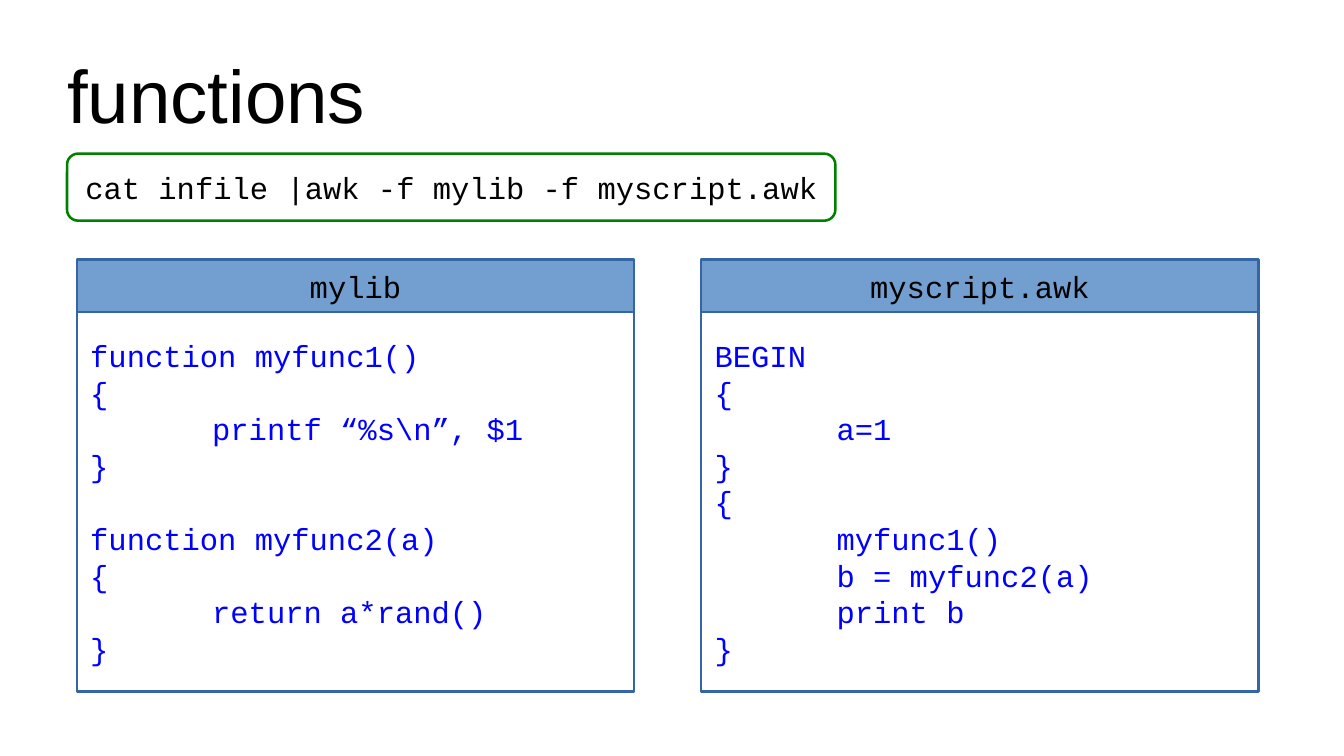
"""Build the awk functions slide: a command line above two code panels."""
from lxml.etree import SubElement
from pptx import Presentation
from pptx.dml.color import RGBColor
from pptx.enum.shapes import MSO_SHAPE as SHAPE
from pptx.enum.text import MSO_ANCHOR as ANCHOR, PP_ALIGN as ALIGN
from pptx.oxml.ns import qn
from pptx.util import Inches, Pt

PANELS = [
    ("mylib", ["function myfunc1()", "{", "\tprintf “%s\\n”, $1", "}",
               "function myfunc2(a)", "{", "\treturn a*rand()", "}"]),
    ("myscript.awk", ["BEGIN", "{", "\ta=1", "}", "{", "\tmyfunc1()",
                      "\tb = myfunc2(a)", "\tprint b", "}"]),
]
LINE_HEIGHT = Pt(21.6)


def rgb(color):
    """Turn a hex string into a colour."""
    return RGBColor.from_string(color)


def add_box(kind, left, top, width, height, lines, line, fill=None,
            color="000000", align=ALIGN.CENTER):
    """Add an outlined shape with monospaced lines of text."""
    sp = slide.shapes.add_shape(kind, Inches(left), Inches(top),
                                Inches(width), Inches(height))
    sp.shadow.inherit = False
    if fill:
        sp.fill.solid()
        sp.fill.fore_color.rgb = rgb(fill)
    else:
        sp.fill.background()
    sp.line.color.rgb = rgb(line)
    sp.line.width = Pt(1.5)
    tf = sp.text_frame
    tf.word_wrap = True
    tf.vertical_anchor = ANCHOR.MIDDLE
    tf.margin_left = tf.margin_right = Inches(0.11)
    tf.margin_top = tf.margin_bottom = Inches(0.06)
    tf.text = "\n".join(lines)
    for p in tf.paragraphs:
        p.alignment = align
        p.line_spacing = LINE_HEIGHT
        if p.text.startswith("\t"):
            tabs = SubElement(p._p.get_or_add_pPr(), qn("a:tabLst"))
            SubElement(tabs, qn("a:tab"), pos=str(Inches(1)), algn="l")
        p.font.name = "Courier New"
        p.font.size = Pt(18)
        p.font.color.rgb = rgb(color)
    return sp


prs = Presentation()
prs.slide_width, prs.slide_height = Inches(11.02), Inches(6.2)
slide = prs.slides.add_slide(prs.slide_layouts[6])

title = slide.shapes.add_textbox(Inches(0.55), Inches(0.25), Inches(9.92), Inches(1.04))
tf = title.text_frame
tf.word_wrap = True
tf.vertical_anchor = ANCHOR.MIDDLE
tf.margin_left = tf.margin_right = tf.margin_top = tf.margin_bottom = 0
tf.text = "functions"
p = tf.paragraphs[0]
p.font.name = "Arial"
p.font.size = Pt(44)
p.font.color.rgb = rgb("000000")

add_box(SHAPE.ROUNDED_RECTANGLE, 0.55, 1.26, 6.3, 0.55,
        ["cat infile |awk -f mylib -f myscript.awk"], "008000")

for i, (name, code) in enumerate(PANELS):
    left = 0.63 + i * 5.12
    body = add_box(SHAPE.RECTANGLE, left, 2.56, 4.57, 3.11, code, "3465A4",
                   color="0000FF", align=ALIGN.LEFT)
    for p in body.text_frame.paragraphs[1:]:
        if p.text.startswith("function"):
            p.space_before = LINE_HEIGHT
    add_box(SHAPE.RECTANGLE, left, 2.13, 4.57, 0.43, [name], "3465A4", fill="729FCF")

prs.save("out.pptx")
